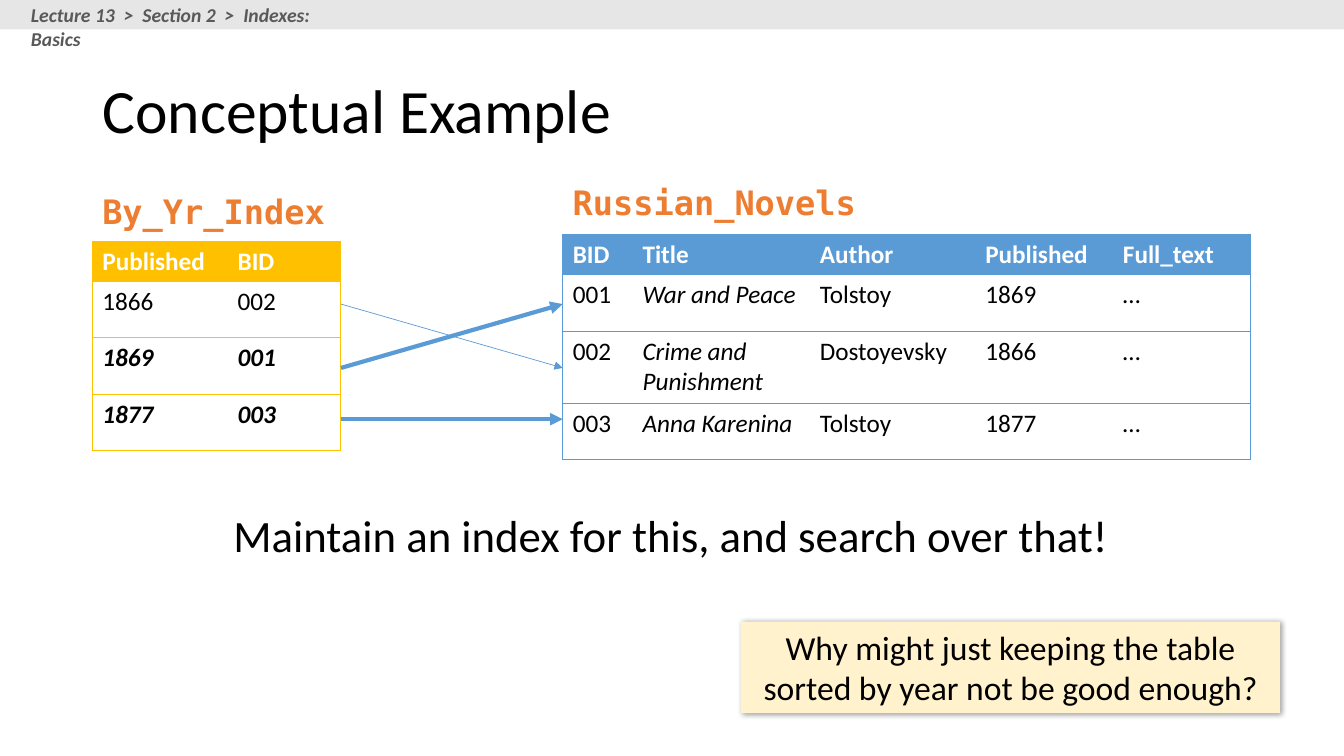
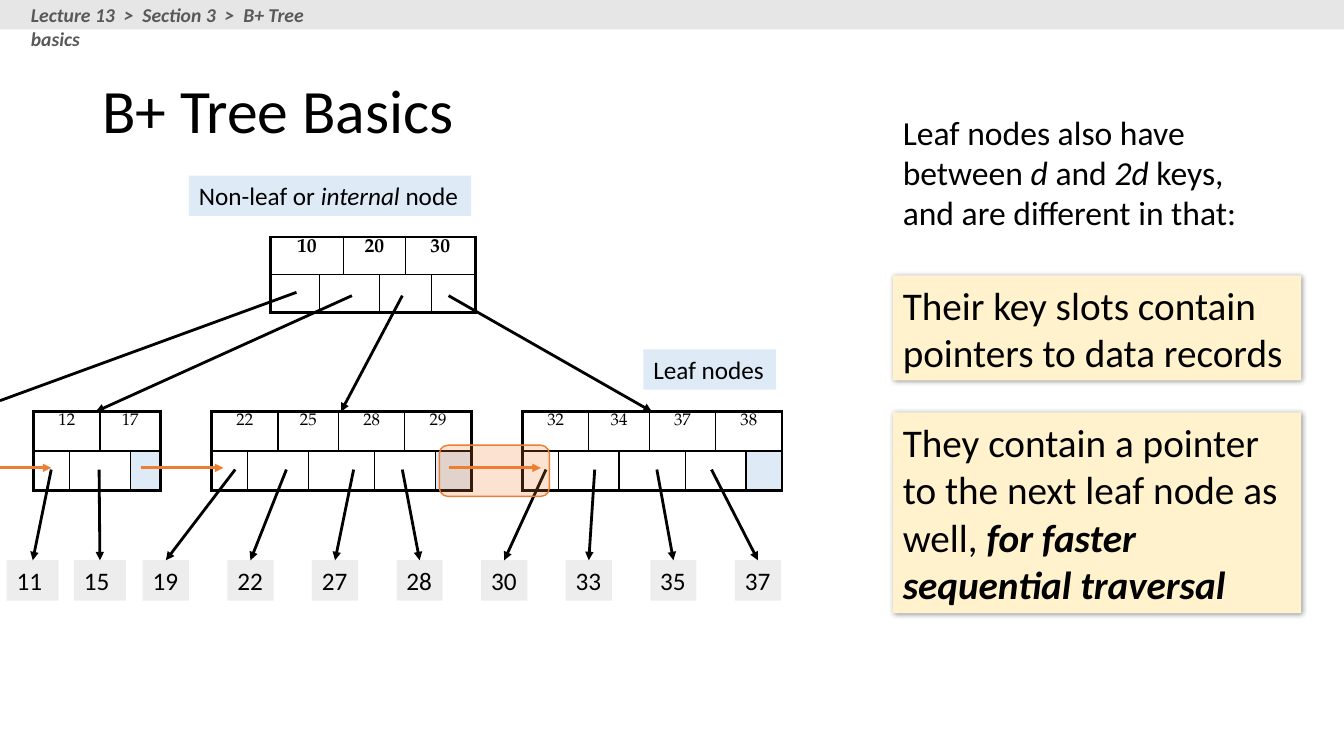
from pptx import Presentation
from pptx.dml.color import RGBColor as RGB
from pptx.enum.shapes import MSO_CONNECTOR as LINK, MSO_SHAPE as FORM
from pptx.enum.text import MSO_ANCHOR as ANCHOR, PP_ALIGN as ALIGN
from pptx.oxml import parse_xml
from pptx.oxml.ns import nsdecls, qn
from pptx.util import Emu, Inches, Pt

# Grid: 160 columns by 90 rows, both one twelfth of an inch
UNIT = Inches(1 / 12)
COLS, ROWS = 160, 90

HUES = {
    "ink": "000000", "white": "FFFFFF", "grey": "595959", "band": "E7E6E6",
    "blue": "5B9BD5", "gold": "FFC000", "rust": "ED7D31",
    "cream": "FFF2CC", "sky": "DEEBF7", "ash": "EDEDED",
}
BASE = {"name": "Calibri", "size": Pt(18), "bold": False, "italic": False}
CODE = {"name": "DejaVu Sans Mono", "size": Pt(24), "bold": True}
KEY = {"name": "TeX Gyre Pagella", "size": Pt(12)}
ROOT = {**KEY, "size": Pt(14), "bold": True}
CRUMB = {"size": Pt(14), "bold": True, "italic": True}
BIG, MID = {"size": Pt(28)}, {"size": Pt(24)}
SLANT = {"italic": True}
STRONG = {"bold": True, "italic": True}
PLAIN = "{2D5ABB26-0587-4C30-8999-92F81FD0307C}"  # table style without grid


def grid(*nums):
    return [Emu(round(n * UNIT)) for n in nums]


def node(xml):
    return parse_xml(xml.replace(">", f" {nsdecls('a')}>", 1))


class Deck:
    def __init__(self):
        self.prs = Presentation()
        self.prs.slide_width, self.prs.slide_height = grid(COLS, ROWS)
        self.shapes = None

    # Title, band and breadcrumb
    def page(self, title, crumb):
        slide = self.prs.slides.add_slide(self.prs.slide_layouts[5])
        self.shapes = slide.shapes
        head = self.shapes.title
        head.left, head.top, head.width, head.height = grid(11, 4.8, 138, 17.4)
        head.text_frame.vertical_anchor = ANCHOR.MIDDLE
        self.put(head.text_frame, title, {"size": Pt(44)})
        head.text_frame.paragraphs[0].line_spacing = 0.9
        self.box((0, 0, COLS, 3.5), "band")
        self.text((2.5, -0.2, 40, 4.1), crumb, CRUMB, "grey")

    # Text is a string or a list of (string, format) pairs
    def put(self, frame, text, form=None, hue="ink", align=ALIGN.LEFT):
        para = frame.paragraphs[0]
        para.alignment = align
        for part, extra in [(text, {})] if isinstance(text, str) else text:
            run = para.add_run()
            run.text = part
            for name, value in {**BASE, **(form or {}), **extra}.items():
                setattr(run.font, name, value)
            run.font.color.rgb = RGB.from_string(HUES[hue])

    def text(self, area, text, form=None, hue="ink"):
        frame = self.shapes.add_textbox(*grid(*area)).text_frame
        frame.word_wrap = True
        self.put(frame, text, form, hue)

    def box(self, area, hue, text="", form=None, align=ALIGN.LEFT,
            kind=FORM.RECTANGLE):
        shape = self.shapes.add_shape(kind, *grid(*area))
        shape.shadow.inherit = False
        shape.fill.solid()
        shape.fill.fore_color.rgb = RGB.from_string(HUES[hue])
        shape.line.fill.background()
        if text:
            shape.text_frame.word_wrap = True
            self.put(shape.text_frame, text, form, align=align)
        return shape

    def tag(self, area, hue, text):
        shape = self.box(area, hue, text)
        shape.text_frame.margin_right = 0
        return shape

    def card(self, area, text, form, align=ALIGN.LEFT):
        shape = self.box(area, "cream", text, form, align)
        shape._element.spPr.find(qn("a:effectLst")).append(node(
            f'<a:outerShdw blurRad="{Pt(4)}" dist="{Pt(1)}" dir="2700000" '
            'algn="tl" rotWithShape="0"><a:srgbClr val="000000">'
            '<a:alpha val="40000"/></a:srgbClr></a:outerShdw>'))

    def ring(self, area, hue):
        shape = self.box(area, hue, kind=FORM.ROUNDED_RECTANGLE)
        shape.line.color.rgb = RGB.from_string(HUES[hue])
        shape.line.width = Pt(1)
        tint = shape._element.spPr.find(qn("a:solidFill"))[0]
        tint.append(node('<a:alpha val="22000"></a:alpha>'))

    def arrow(self, start, end, hue="ink", width=2, head=True, goal=None):
        line = self.shapes.add_connector(LINK.STRAIGHT, *grid(*start, *end))
        line.line.color.rgb = RGB.from_string(HUES[hue])
        line.line.width = Pt(width)
        if head:
            line.line._get_or_add_ln().append(
                node('<a:tailEnd type="triangle"></a:tailEnd>'))
        line._element.spPr.append(node("<a:effectLst></a:effectLst>"))
        if goal:
            line.end_connect(goal, 0)

    # Tables
    def table(self, spot, cols, rows):
        size = sum(cols), sum(rows)
        table = self.shapes.add_table(
            len(rows), len(cols), *grid(*spot, *size)).table
        table.first_row = table.horz_banding = False
        table._tbl.tblPr.find(qn("a:tableStyleId")).text = PLAIN
        for col, wide in zip(table.columns, grid(*cols)):
            col.width = wide
        for row, high in zip(table.rows, grid(*rows)):
            row.height = high
        return table

    def edge(self, cell, hue, **sides):
        props = cell._tc.get_or_add_tcPr()
        for side in "LRTB":
            if sides.get(side):
                props.append(node(
                    f'<a:ln{side} w="{Pt(sides[side])}"><a:solidFill>'
                    f'<a:srgbClr val="{HUES[hue]}"/></a:solidFill>'
                    f'</a:ln{side}>'))

    def paint(self, cell, hue=None):
        if hue:
            cell.fill.solid()
            cell.fill.fore_color.rgb = RGB.from_string(HUES[hue])
        else:
            cell.fill.background()

    def sheet(self, spot, cols, rows, hue, data, look):
        table = self.table(spot, cols, rows)
        for r, line in enumerate(data):
            for c, word in enumerate(line):
                cell, top = table.cell(r, c), r == 0
                self.edge(cell, hue, T=0.5, B=0.5, L=0.5 * (c == 0),
                          R=0.5 * (c == len(cols) - 1))
                self.paint(cell, hue if top else None)
                self.put(cell.text_frame, word,
                         {"bold": True} if top else look(r, c),
                         "white" if top else "ink")

    # Tree node: keys above, pointers straddling them below
    def tree(self, spot, cols, high, keys, form, last=None):
        table = self.table(spot, cols, [high] * 2)
        end = len(cols) - 1
        for c in range(0, end, 2):
            table.cell(0, c).merge(table.cell(0, c + 1))
        for c in range(1, end, 2):
            table.cell(1, c).merge(table.cell(1, c + 1))
        for r in range(2):
            for c in range(end + 1):
                cell = table.cell(r, c)
                right = c + (cell.span_width - 1 if cell.is_merge_origin else 0)
                left = 0 if cell.is_spanned else 1
                self.edge(cell, "ink", L=2.25 if c == 0 else left,
                          R=2.25 if right == end else 1,
                          T=1 if r else 2.25, B=2.25 if r else 1)
                self.paint(cell, last if r and c == end else None)
                cell.margin_top = cell.margin_bottom = Inches(0.02)
        for k, key in enumerate(keys):
            self.put(table.cell(0, 2 * k).text_frame, key, form,
                     align=ALIGN.CENTER)


def example(deck):
    deck.page("Conceptual Example",
              "Lecture 13  >  Section 2  >  Indexes: Basics")
    deck.sheet((67, 27.9), [8.3, 21.1, 19.7, 16.4, 16.4],
               [4.8, 6.7, 8.6, 6.7], "blue", [
        ("BID", "Title", "Author", "Published", "Full_text"),
        ("001", "War and Peace", "Tolstoy", "1869", "…"),
        ("002", "Crime and Punishment", "Dostoyevsky", "1866", "…"),
        ("003", "Anna Karenina", "Tolstoy", "1877", "…"),
    ], lambda r, c: SLANT if c == 1 else {})
    deck.sheet((11, 28.7), [16.1, 13.4], [4.8, 6.7, 6.7, 6.7], "gold", [
        ("Published", "BID"), ("1866", "002"),
        ("1869", "001"), ("1877", "003"),
    ], lambda r, c: STRONG if r > 1 else {})

    # Index entries to rows
    for start, end, width in [(36.2, 43.8, 0.5), (43.8, 36.2, 3),
                              (49.9, 49.9, 3)]:
        deck.arrow((40.6, start), (67, end), "blue", width)

    deck.text((67, 21.1, 38, 6), "Russian_Novels", CODE, "rust")
    deck.text((11, 22.1, 31, 6), "By_Yr_Index", CODE, "rust")
    deck.text((26.6, 59.8, 106.7, 7.7),
              "Maintain an index for this, and search over that!",
              {"size": Pt(32)})
    deck.card((88.2, 74, 64.2, 10.9),
              "Why might just keeping the table sorted by year "
              "not be good enough?", MID, ALIGN.CENTER)


def basics(deck):
    deck.page("B+ Tree Basics", "Lecture 13  >  Section 3  >  B+ Tree basics")

    # Nodes
    deck.tree((32.2, 28.2), [5.8, 2.5, 4.3, 3.1, 3.1, 5.2], 4.5,
              ("10", "20", "30"), ROOT)
    cols = [4.3, 3.6, 3.6, 3.6, 4.3, 3.6, 3.6, 4.3]
    for left, keys in [(4, ("12", "17")), (25.2, ("22", "25", "28", "29")),
                       (62.2, ("32", "34", "37", "38"))]:
        deck.tree((left, 49), cols[:2 * len(keys)], 4.7, keys, KEY, "sky")
    deck.tag((22.5, 20.9, 33.6, 4.8), "sky",
             [("Non-leaf or ", {}), ("internal ", SLANT), ("node", {})])
    deck.tag((76.6, 41.6, 15.8, 4.8), "sky", "Leaf nodes")

    # Root to leaves; the first one ends at the slide's edge
    deck.arrow((35.3, 34.8), (0, 47.7), head=False)
    for start, end in [(41.9, 11.4), (47.9, 40.6), (53.4, 77.6)]:
        deck.arrow((start, 35.2), (end, 49))

    # Leaves to data records
    spots = [(0.8, 6.2), (8.8, 6.2)] + [(17 + 10.07 * k, 5.5) for k in range(8)]
    words = "11 15 19 22 27 28 30 33 35 37".split()
    starts = [6.1, 11.8, 28, 34.1, 42.1, 47.9, 65, 70.8, 78.2, 84.7]
    for (left, wide), word, start in zip(spots, words, starts):
        goal = deck.tag((left, 66.7, wide, 4.8), "ash", word)
        deck.arrow((start, 55.9), (left + wide / 2, 66.7), goal=goal)

    # Leaf to leaf
    deck.ring((52.3, 53, 13.1, 6.1), "rust")
    for start, end in [(0, 6.1), (16.8, 26.6), (53.4, 64.4)]:
        deck.arrow((start, 55.7), (end, 55.7), "rust")

    # Notes at the right
    deck.text((106.3, 12.7, 46.8, 15.7), [
        ("Leaf nodes also have between ", {}), ("d ", SLANT), ("and ", {}),
        ("2d ", SLANT), ("keys, and are different in that:", {})], MID)
    deck.card((106.3, 32.8, 48.6, 12.5),
              "Their key slots contain pointers to data records", BIG)
    deck.card((106.3, 49.1, 48.6, 23.9), [
        ("They contain a pointer to the next leaf node as well, ", {}),
        ("for faster sequential traversal", STRONG)], BIG)


def main():
    deck = Deck()
    example(deck)
    basics(deck)
    deck.prs.save("out.pptx")


if __name__ == "__main__":
    main()
